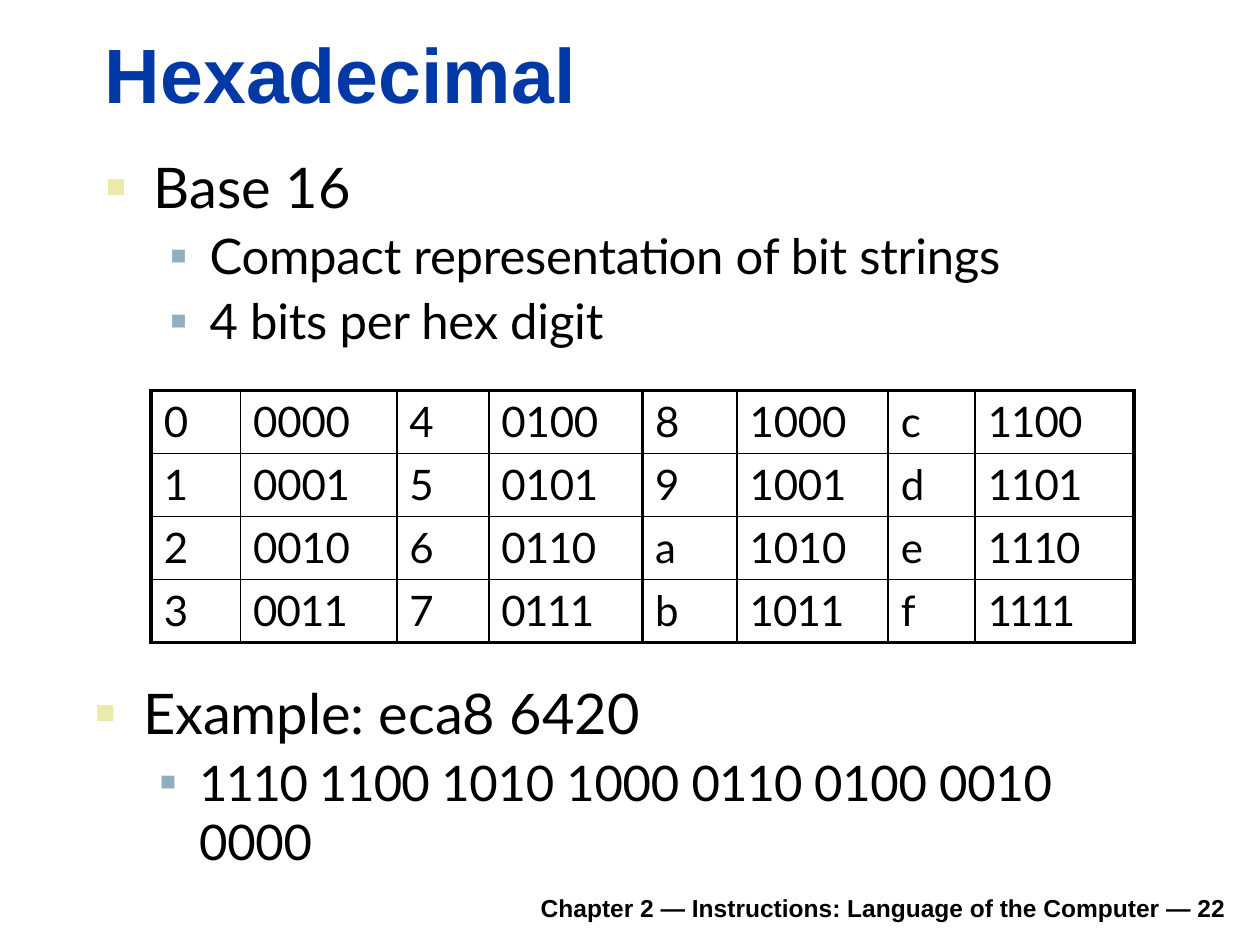
from collections import namedtuple
from dataclasses import dataclass

from lxml.etree import SubElement
from pptx import Presentation
from pptx.dml.color import RGBColor
from pptx.enum.text import MSO_ANCHOR
from pptx.oxml.ns import qn
from pptx.util import Pt

Box = namedtuple("Box", "left top width height")
Level = namedtuple("Level", "size indent hanging before bullet_color bullet_percent")


@dataclass(frozen=True)
class Theme:
    heading_font: str = "Arial"
    body_font: str = "Lato"
    title_color: str = "0039A6"
    ink: str = "000000"
    title_size: float = 44
    cell_size: float = 24
    footer_size: float = 14
    levels: tuple = (
        Level(32, 28, 27.4, 0, "EBEAAC", 59),
        Level(28, 59.8, 22.3, 3.5, "91AEBE", 54),
    )
    outer_rule: float = 2.25
    group_rule: float = 1.5
    inner_rule: float = 1
    # Letter spacing of a bit group, by its number of adjacent ones
    bit_tracking: tuple = (-0.1, -0.5, -0.9, -1.9)


THEME = Theme()


def add_run(paragraph, text, size, font=THEME.body_font, color=THEME.ink,
            bold=False, tracking=0):
    run = paragraph.add_run()
    run.text = text
    run.font.size = Pt(size)
    run.font.name = font
    run.font.bold = bold
    run.font.color.rgb = RGBColor.from_string(color)
    if tracking:
        run._r.get_or_add_rPr().set("spc", str(round(tracking * 100)))


def bit_tracking(bits):
    pairs = sum(a == b == "1" for a, b in zip(bits, bits[1:]))
    return THEME.bit_tracking[pairs]


def add_frame(slide, box, top_inset=0, wrap=True):
    frame = slide.shapes.add_textbox(*map(Pt, box)).text_frame
    frame.word_wrap = wrap
    frame.margin_left = frame.margin_right = frame.margin_bottom = 0
    frame.margin_top = Pt(top_inset)
    return frame


def add_title(slide, box, text):
    frame = add_frame(slide, box)
    frame.vertical_anchor = MSO_ANCHOR.BOTTOM
    add_run(frame.paragraphs[0], text, THEME.title_size, THEME.heading_font,
            THEME.title_color, bold=True)


def add_footer(slide, box, text):
    paragraph = add_frame(slide, box, wrap=False).paragraphs[0]
    paragraph.line_spacing = Pt(16.6)
    add_run(paragraph, text, THEME.footer_size, THEME.heading_font, bold=True)


def format_bullet(paragraph, depth):
    level = THEME.levels[depth]
    paragraph.level = depth
    paragraph.space_before = Pt(level.before)
    props = paragraph._p.get_or_add_pPr()
    props.set("marL", str(Pt(level.indent)))
    props.set("indent", str(-Pt(level.hanging)))
    color = SubElement(props, qn("a:buClr"))
    SubElement(color, qn("a:srgbClr"), val=level.bullet_color)
    SubElement(props, qn("a:buSzPct"), val=str(level.bullet_percent * 1000))
    SubElement(props, qn("a:buFont"), typeface=THEME.heading_font)
    SubElement(props, qn("a:buChar"), char="■")


def add_bullets(slide, box, items):
    """Each item is a depth and its runs of (text, tracking)."""
    frame = add_frame(slide, box, top_inset=5)
    for index, (depth, runs) in enumerate(items):
        paragraph = frame.add_paragraph() if index else frame.paragraphs[0]
        format_bullet(paragraph, depth)
        for text, tracking in runs:
            add_run(paragraph, text, THEME.levels[depth].size, tracking=tracking)


def set_borders(cell, widths):
    props = cell._tc.get_or_add_tcPr()
    for side, width in zip("LRTB", widths):
        line = SubElement(props, qn(f"a:ln{side}"), w=str(Pt(width)))
        fill = SubElement(line, qn("a:solidFill"))
        SubElement(fill, qn("a:srgbClr"), val=THEME.ink)


def add_hex_table(slide, box, column_widths, row_count=4):
    """Pairs of columns, hex digit and its bits, counting down each pair."""
    column_count = len(column_widths)
    table = slide.shapes.add_table(row_count, column_count, *map(Pt, box)).table
    table.first_row = table.horz_banding = False
    for column, width in zip(table.columns, column_widths):
        column.width = Pt(width)
    for row in table.rows:
        row.height = Pt(box.height / row_count)

    def column_rule(edge):
        if edge in (0, column_count):
            return THEME.outer_rule
        return THEME.inner_rule if edge % 2 else THEME.group_rule

    def row_rule(edge):
        return THEME.outer_rule if edge in (0, row_count) else THEME.inner_rule

    for row in range(row_count):
        for column in range(column_count):
            cell = table.cell(row, column)
            cell.margin_left, cell.margin_top = Pt(7.2), Pt(2.9)
            cell.margin_right = cell.margin_bottom = 0
            set_borders(cell, (column_rule(column), column_rule(column + 1),
                               row_rule(row), row_rule(row + 1)))
            cell.fill.background()
            value = column // 2 * row_count + row
            text = f"{value:04b}" if column % 2 else f"{value:x}"
            tracking = bit_tracking(text) if column % 2 else 0
            add_run(cell.text_frame.paragraphs[0], text, THEME.cell_size,
                    tracking=tracking)


def build_hexadecimal_slide(slide):
    add_title(slide, Box(60, 13, 271.5, 54.7), "Hexadecimal")
    add_bullets(slide, Box(60, 82, 518.5, 119), [
        (0, [("Base 16", 0)]),
        (1, [("Compact representation of bit strings", -0.1)]),
        (1, [("4 bits per hex digit", -0.1)]),
    ])
    add_hex_table(slide, Box(86.4, 223.2, 561.6, 144),
                  (51.1, 89.3, 52.6, 87.8, 54, 86.4, 49.7, 90.7))

    example = "eca8 6420"
    groups = [f"{int(digit, 16):04b}" for digit in example.replace(" ", "")]
    last = len(groups) - 1
    bit_runs = [(bits if index == last else bits + " ", bit_tracking(bits))
                for index, bits in enumerate(groups)]
    add_bullets(slide, Box(54, 383, 606, 81.4), [
        (0, [("Example: ", -0.1), (example, 0)]),
        (1, bit_runs),
    ])
    add_footer(slide, Box(309, 510.5, 393, 18),
               "Chapter 2 — Instructions: Language of the Computer — 22")


def main():
    deck = Presentation()
    deck.slide_width, deck.slide_height = Pt(720), Pt(540)
    build_hexadecimal_slide(deck.slides.add_slide(deck.slide_layouts[6]))
    deck.save("out.pptx")


if __name__ == "__main__":
    main()
